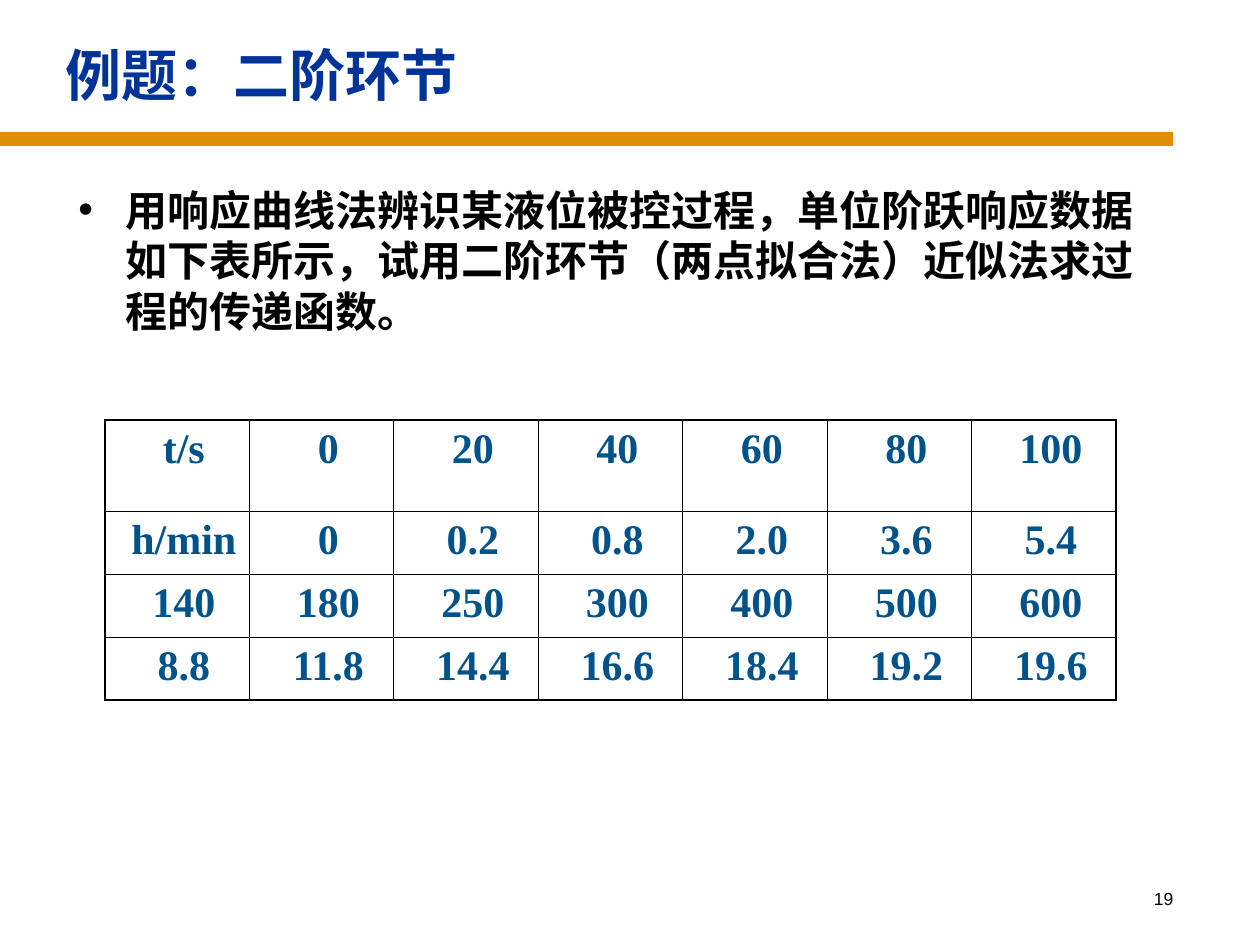
from lxml import etree
from pptx import Presentation
from pptx.dml.color import RGBColor
from pptx.enum import shapes, text
from pptx.oxml import ns
from pptx.util import Pt

RESPONSE = [
    ["t/s", "0", "20", "40", "60", "80", "100"],
    ["h/min", "0", "0.2", "0.8", "2.0", "3.6", "5.4"],
    ["140", "180", "250", "300", "400", "500", "600"],
    ["8.8", "11.8", "14.4", "16.6", "18.4", "19.2", "19.6"],
]
ROW_HEIGHTS = [52, 36, 36, 36]


def color(value):
    """Return the colour for a hex string."""
    return RGBColor.from_string(value)


def add_element(parent, tag, **attributes):
    """Append a DrawingML element and return it."""
    return etree.SubElement(parent, ns.qn(tag), attributes)


def set_font(paragraph, name, size, value, bold=False):
    """Set the font of a whole paragraph."""
    font = paragraph.font
    font.name, font.size, font.bold = name, Pt(size), bold
    font.color.rgb = color(value)


def add_title(slide, left, top, width, height, words):
    """Place and format the title placeholder."""
    title = slide.shapes.title
    title.left, title.top, title.width, title.height = map(Pt, (left, top, width, height))
    frame = title.text_frame
    frame.text = words
    frame.auto_size = text.MSO_AUTO_SIZE.NONE
    frame.vertical_anchor = text.MSO_ANCHOR.MIDDLE
    paragraph = frame.paragraphs[0]
    paragraph.alignment = text.PP_ALIGN.LEFT
    set_font(paragraph, "Times New Roman", 32, "003399", True)


def add_rule(slide, left, top, width):
    """Draw the thick line under the title."""
    rule = slide.shapes.add_connector(
        shapes.MSO_CONNECTOR.STRAIGHT, Pt(left), Pt(top), Pt(left + width), Pt(top))
    rule.line.color.rgb = color("DF8E05")
    rule.line.width = Pt(8)
    add_element(rule._element.spPr, "a:effectLst")


def add_text(slide, left, top, width, height, words):
    """Add a wrapping text box and return its paragraph."""
    box = slide.shapes.add_textbox(Pt(left), Pt(top), Pt(width), Pt(height))
    box.text_frame.word_wrap = True
    paragraph = box.text_frame.paragraphs[0]
    paragraph.text = words
    return paragraph


def add_problem(slide, left, top, width, height, words):
    """Add the bulleted problem statement."""
    paragraph = add_text(slide, left, top, width, height, words)
    paragraph.line_spacing = Pt(28.9)
    properties = paragraph._p.get_or_add_pPr()
    properties.set("marL", str(Pt(34.5)))
    properties.set("indent", str(Pt(-27)))
    bullet_color = add_element(properties, "a:buClr")
    add_element(bullet_color, "a:srgbClr", val="000000")
    add_element(properties, "a:buFont", typeface="Arial")
    add_element(properties, "a:buChar", char="•")
    set_font(paragraph, "Arial", 24, "000000", True)


def add_slide_number(slide, left, top, width, height, number):
    """Add the slide number at the right."""
    paragraph = add_text(slide, left, top, width, height, number)
    paragraph.alignment = text.PP_ALIGN.RIGHT
    set_font(paragraph, "Arial", 10, "000000")


def set_borders(cell, outer_sides):
    """Draw black cell borders, thicker on the outer sides."""
    properties = cell._tc.get_or_add_tcPr()
    for side in "LRTB":
        width = Pt(1.08 if side in outer_sides else 0.45)
        line = add_element(properties, f"a:ln{side}", w=str(width))
        fill = add_element(line, "a:solidFill")
        add_element(fill, "a:srgbClr", val="000000")


def add_response_table(slide, left, top, width, rows, heights):
    """Add the step response table."""
    row_count, column_count = len(rows), len(rows[0])
    table = slide.shapes.add_table(
        row_count, column_count, Pt(left), Pt(top), Pt(width), Pt(sum(heights))).table
    table.first_row = table.horz_banding = False
    for column in table.columns:
        column.width = Pt(width / column_count)
    for r, (values, height) in enumerate(zip(rows, heights)):
        table.rows[r].height = Pt(height)
        for c, value in enumerate(values):
            cell = table.cell(r, c)
            edges = {"L": c == 0, "R": c == column_count - 1,
                     "T": r == 0, "B": r == row_count - 1}
            set_borders(cell, [side for side, outer in edges.items() if outer])
            cell.fill.background()
            cell.text = value
            paragraph = cell.text_frame.paragraphs[0]
            paragraph.alignment = text.PP_ALIGN.CENTER
            paragraph._p.get_or_add_pPr().set("marL", str(Pt(7.9)))
            set_font(paragraph, "Times New Roman", 24, "00528B", True)


def main():
    """Build the slide and save it."""
    presentation = Presentation()
    presentation.slide_width, presentation.slide_height = Pt(720), Pt(540)
    slide = presentation.slides.add_slide(presentation.slide_layouts.get_by_name("Title Only"))
    add_rule(slide, 0, 79.4, 670.5)
    add_slide_number(slide, 528, 504, 149.5, 36, "19")
    add_title(slide, 30.2, 12.2, 648, 60.5, "例题：二阶环节")
    add_problem(slide, 30.2, 101.5, 647.3, 95,
                "用响应曲线法辨识某液位被控过程，单位阶跃响应数据如下表所示，"
                "试用二阶环节（两点拟合法）近似法求过程的传递函数。")
    add_response_table(slide, 59.8, 240, 578.2, RESPONSE, ROW_HEIGHTS)
    presentation.save("out.pptx")


if __name__ == "__main__":
    main()
